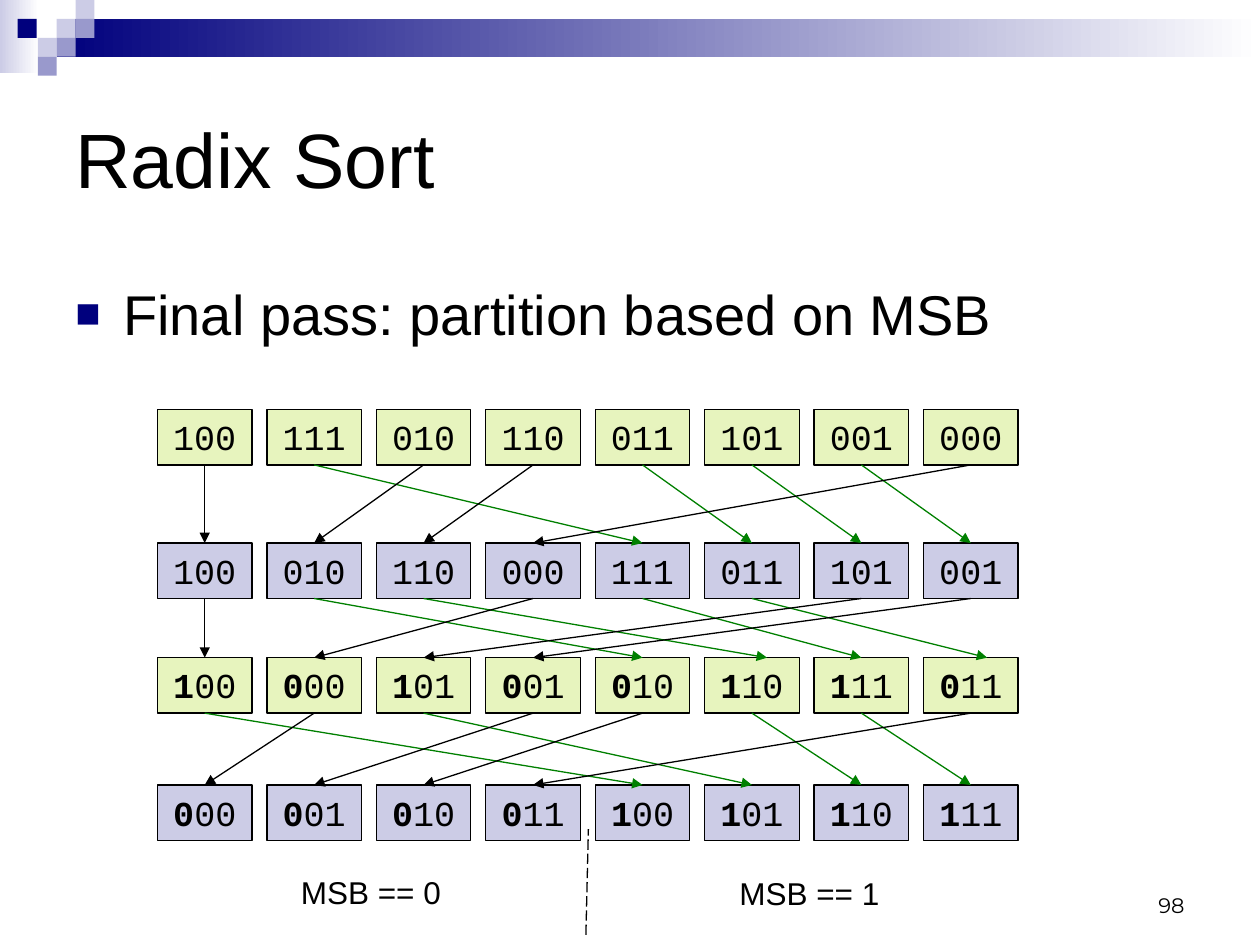
import pptx
import pptx.dml.color
import pptx.enum.dml
import pptx.enum.shapes
import pptx.enum.text
import pptx.oxml.ns
import pptx.util
from lxml import etree

Inches = pptx.util.Inches
Pt = pptx.util.Pt
RGBColor = pptx.dml.color.RGBColor
ALIGN = pptx.enum.text.PP_ALIGN
ANCHOR = pptx.enum.text.MSO_ANCHOR
qn = pptx.oxml.ns.qn

BLACK = RGBColor(0x00, 0x00, 0x00)
WHITE = RGBColor(0xFF, 0xFF, 0xFF)
NAVY = RGBColor(0x00, 0x00, 0x7D)
PERIWINKLE = RGBColor(0x99, 0x99, 0xCC)
LAVENDER = RGBColor(0xCC, 0xCC, 0xE6)
LIME = RGBColor(0xE7, 0xF4, 0xBE)
GREEN = RGBColor(0x00, 0x80, 0x00)

CELL_W, CELL_H = 0.75, 0.44
CELL_LEFT = 1.25
CELL_PITCH = (7.33 - CELL_LEFT) / 7

# top, fill, number of bold leading digits, values
PASSES = [
    (3.25, LIME, 0, ["100", "111", "010", "110", "011", "101", "001", "000"]),
    (4.31, LAVENDER, 0, ["100", "010", "110", "000", "111", "011", "101", "001"]),
    (5.22, LIME, 1, ["100", "000", "101", "001", "010", "110", "111", "011"]),
    (6.23, LAVENDER, 1, ["000", "001", "010", "011", "100", "101", "110", "111"]),
]
# Arrow tips that land right of the cell centre, by row top and value
TIP_SHIFT = {(5.22, "110"): 0.12, (5.22, "011"): 0.13}

BAR_SQUARES = [
    (0.45, 0.15, LAVENDER), (0.6, 0, LAVENDER), (0.6, 0.15, PERIWINKLE),
    (0.3, 0.3, LAVENDER), (0.14, 0.15, NAVY), (0.45, 0.3, PERIWINKLE),
    (0.3, 0.45, PERIWINKLE),
]


def write_text(tf, text, *, size, font="Arial", align=ALIGN.LEFT,
               anchor=ANCHOR.TOP, wrap=True, bold_count=0):
    """Fill a text frame; the first bold_count characters are bold."""
    tf.word_wrap = wrap
    tf.vertical_anchor = anchor
    p = tf.paragraphs[0]
    p.alignment = align
    for part, bold in ((text[:bold_count], True), (text[bold_count:], False)):
        if part:
            r = p.add_run()
            r.text = part
            r.font.name = font
            r.font.size = Pt(size)
            r.font.bold = bold
            r.font.color.rgb = BLACK
    return p


def add_text(s, left, top, width, height, text, **fmt):
    box = s.shapes.add_textbox(Inches(left), Inches(top), Inches(width), Inches(height))
    return write_text(box.text_frame, text, **fmt)


def add_rect(s, left, top, width, height, color, fade=False):
    """Add a borderless rectangle, solid or fading to white at the right."""
    sp = s.shapes.add_shape(pptx.enum.shapes.MSO_SHAPE.RECTANGLE, Inches(left),
                            Inches(top), Inches(width), Inches(height))
    sp.shadow.inherit = False
    sp.line.fill.background()
    if fade:
        sp.fill.gradient()
        sp.fill.gradient_angle = 0
        for stop, c in zip(sp.fill.gradient_stops, (color, WHITE)):
            stop.color.rgb = c
    else:
        sp.fill.solid()
        sp.fill.fore_color.rgb = color
    return sp


def add_line(s, x1, y1, x2, y2, color=BLACK, arrow=False, dash=None):
    line = s.shapes.add_connector(pptx.enum.shapes.MSO_CONNECTOR.STRAIGHT,
                                  Inches(x1), Inches(y1), Inches(x2), Inches(y2))
    line.line.color.rgb = color
    line.line.width = Pt(0.75)
    if dash:
        line.line.dash_style = dash
    if arrow:
        etree.SubElement(line.line._get_or_add_ln(), qn("a:tailEnd"), type="triangle")
    etree.SubElement(line._element.spPr, qn("a:effectLst"))


def add_bullet(p):
    pPr = p._p.get_or_add_pPr()
    pPr.set("marL", str(Inches(0.38)))
    pPr.set("indent", str(Inches(-0.38)))
    color = etree.SubElement(pPr, qn("a:buClr"))
    etree.SubElement(color, qn("a:srgbClr"), val=str(NAVY))
    etree.SubElement(pPr, qn("a:buSzPct"), val="75000")
    etree.SubElement(pPr, qn("a:buFont"), typeface="Arial")
    etree.SubElement(pPr, qn("a:buChar"), char="■")


def add_header_bar(s):
    add_rect(s, 0, 0, 0.31, 0.58, LAVENDER, fade=True)
    add_rect(s, 0.45, 0.15, 9.55, 0.3, NAVY, fade=True)
    for left, top, color in BAR_SQUARES:
        add_rect(s, left, top, 0.15, 0.15, color)


def add_pass_row(s, top, fill, bold_count, values):
    for i, value in enumerate(values):
        sp = add_rect(s, CELL_LEFT + i * CELL_PITCH, top, CELL_W, CELL_H, fill)
        sp.line.color.rgb = BLACK
        sp.line.width = Pt(0.75)
        write_text(sp.text_frame, value, size=20, font="Courier New",
                   align=ALIGN.CENTER, bold_count=bold_count)


def add_partition_arrows(s, row, next_row):
    """Join each value to its place in the next row; the right half is green."""
    top, _, _, values = row
    next_top, _, _, next_values = next_row
    middle = CELL_LEFT + CELL_W / 2
    for i, value in enumerate(values):
        j = next_values.index(value)
        tip = middle + j * CELL_PITCH + TIP_SHIFT.get((next_top, value), 0)
        add_line(s, middle + i * CELL_PITCH, top + CELL_H, tip, next_top,
                 color=GREEN if j >= len(values) // 2 else BLACK, arrow=True)


def main():
    prs = pptx.Presentation()
    prs.slide_width, prs.slide_height = Inches(10), Inches(7.5)
    s = prs.slides.add_slide(prs.slide_layouts[6])

    add_header_bar(s)
    add_text(s, 0.5, 0.5, 9, 1.5, "Radix Sort", size=44, anchor=ANCHOR.MIDDLE)
    add_bullet(add_text(s, 0.5, 2.17, 9, 0.75,
                        "Final pass: partition based on MSB", size=32))

    for row in PASSES:
        add_pass_row(s, *row)
    for row, next_row in zip(PASSES, PASSES[1:]):
        add_partition_arrows(s, row, next_row)

    add_line(s, 4.65, 7.42, 4.67, 6.58, dash=pptx.enum.dml.MSO_LINE.LONG_DASH)
    add_text(s, 2.29, 6.88, 1.32, 0.4, "MSB == 0", size=18, wrap=False)
    add_text(s, 5.77, 6.89, 1.32, 0.4, "MSB == 1", size=18, wrap=False)
    add_text(s, 7.17, 6.83, 2.33, 0.5, "98", size=12, font="Montserrat",
             align=ALIGN.RIGHT, anchor=ANCHOR.BOTTOM)

    prs.save("out.pptx")


if __name__ == "__main__":
    main()
